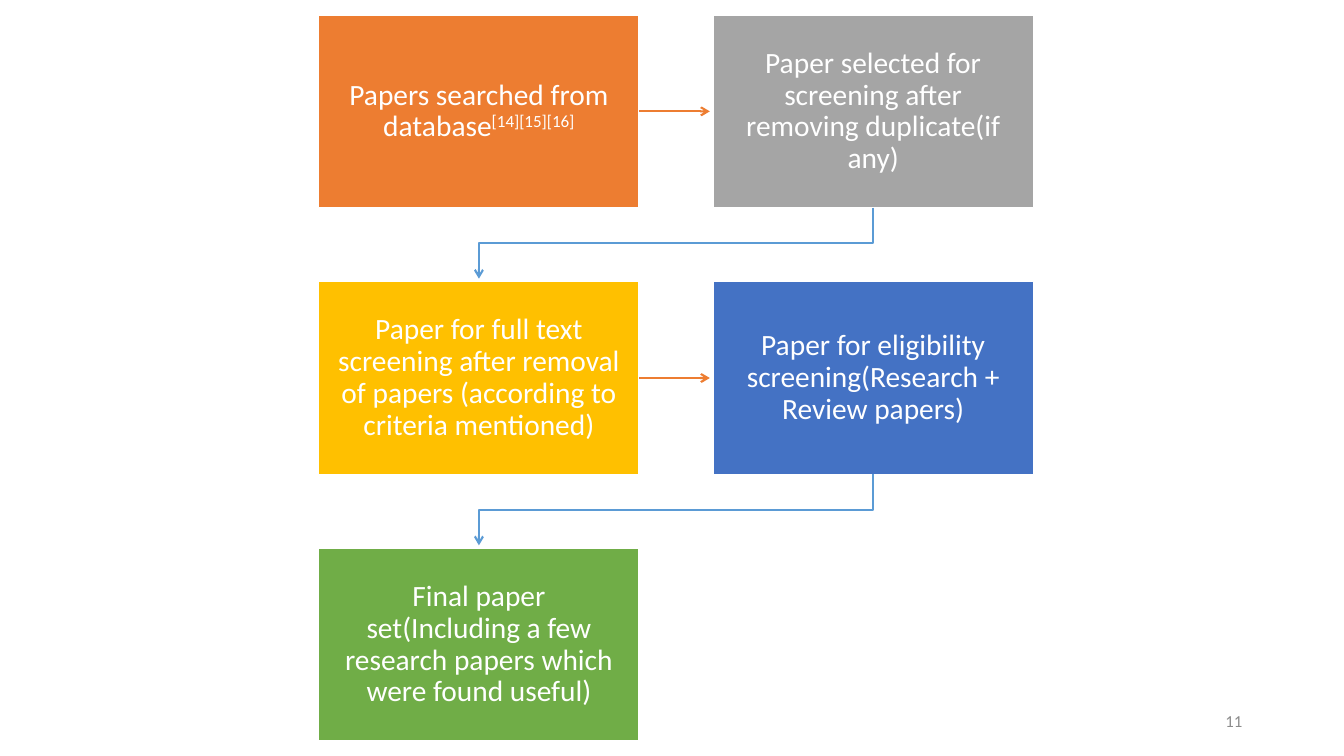
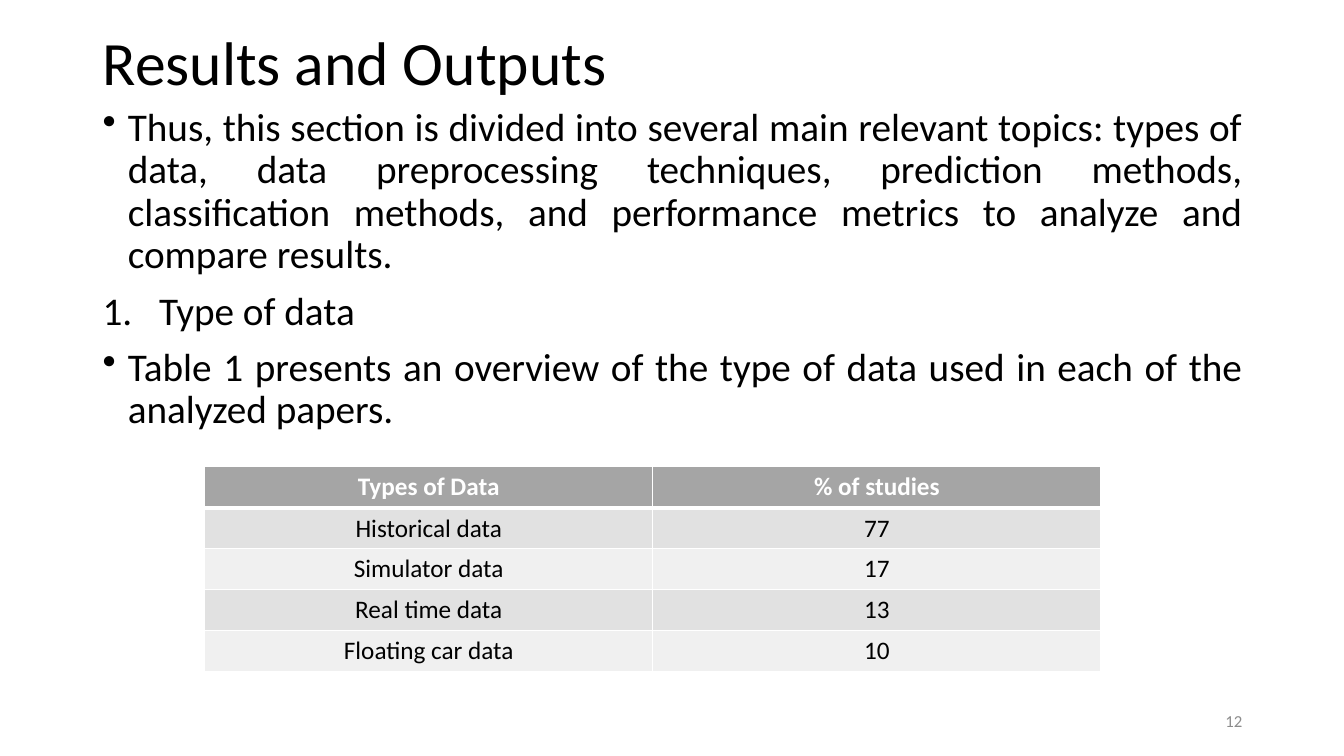
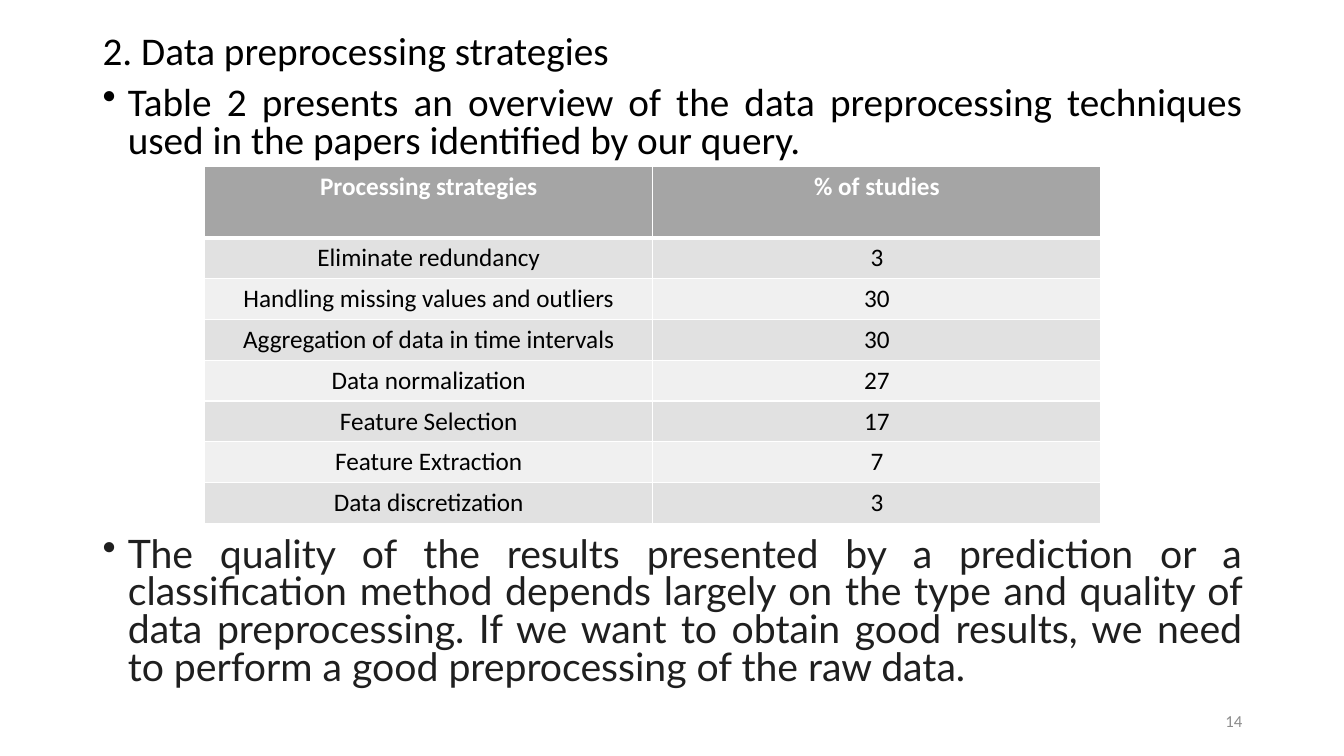
import lxml.etree
import pptx
import pptx.dml.color
import pptx.enum.shapes
import pptx.enum.text
import pptx.oxml
import pptx.oxml.ns
import pptx.util

Inches = pptx.util.Inches
Pt = pptx.util.Pt
ALIGN = pptx.enum.text.PP_ALIGN
ANCHOR = pptx.enum.text.MSO_ANCHOR
LINK = pptx.enum.shapes.MSO_CONNECTOR
RECT = pptx.enum.shapes.MSO_SHAPE.RECTANGLE

WHITE, BLACK, GREY = "FFFFFF", "000000", "A5A5A5"
ORANGE, GOLD, BLUE, GREEN, SKY = "ED7D31", "FFC000", "4472C4", "70AD47", "5B9BD5"
BANDS = ("E1E1E1", "F0F0F0")

BASE = {"name": "Calibri", "size": Pt(28), "bold": False, "color": BLACK}
TITLE = {**BASE, "size": Pt(44)}
FOOT = {**BASE, "size": Pt(12), "color": "8C8C8C"}
STEP = {**BASE, "size": Pt(21), "color": WHITE}
CELL = {**BASE, "size": Pt(18)}
HEAD = {**CELL, "bold": True, "color": WHITE}
QUOTE = {**BASE, "name": "Lato", "color": "1F1F1F"}

LEFT, WIDTH = 0.92, 11.5
DOT = ("buChar", {"char": "•"}, 0.25)
COUNT = ("buAutoNum", {"type": "arabicPeriod"}, 0.56)


def paint(text):
    return pptx.dml.color.RGBColor.from_string(text)


def node(parent, tag, **attrs):
    """Append a drawing element to parent."""
    child = lxml.etree.SubElement(parent, pptx.oxml.ns.qn("a:" + tag))
    for key, value in attrs.items():
        child.set(key, value)
    return child


def write(para, text, style):
    run = para.add_run()
    run.text = text
    for key, value in style.items():
        if key == "color":
            run.font.color.rgb = paint(value)
        else:
            setattr(run.font, key, value)
    return run


def layout(para, **values):
    for key, value in values.items():
        setattr(para, key, value)


def add_box(slide, left, top, width, height, anchor=ANCHOR.TOP):
    """Add a wrapping text box and return its frame."""
    box = slide.shapes.add_textbox(Inches(left), Inches(top), Inches(width), Inches(height))
    box.text_frame.word_wrap = True
    box.text_frame.vertical_anchor = anchor
    return box.text_frame


def add_title(slide, text):
    para = add_box(slide, LEFT, 0.02, WIDTH, 1.27, ANCHOR.MIDDLE).paragraphs[0]
    layout(para, line_spacing=0.9)
    write(para, text, TITLE)


def add_foot(slide, number):
    para = add_box(slide, 9.42, 6.95, 3, 0.4, ANCHOR.MIDDLE).paragraphs[0]
    layout(para, alignment=ALIGN.RIGHT)
    write(para, str(number), FOOT)


def add_body(slide, top, height, items, pitch=0.9, style=BASE):
    """Add justified paragraphs from (text, mark) pairs."""
    frame = add_box(slide, LEFT, top, WIDTH, height)
    for place, (text, mark) in enumerate(items):
        para = frame.add_paragraph() if place else frame.paragraphs[0]
        layout(para, alignment=ALIGN.JUSTIFY, line_spacing=pitch, space_before=Pt(10))
        write(para, text, style)
        if mark:
            tag, attrs, indent = mark
            props = para._p.get_or_add_pPr()
            props.set("marL", str(Inches(indent)))
            props.set("indent", str(-Inches(indent)))
            node(props, tag, **attrs)


def add_grid(slide, top, rows, first=0.41, left=2.03, width=8.89, step=0.405):
    """Add a banded table whose first row is the heading."""
    size = len(rows[0])
    high = first + step * (len(rows) - 1)
    table = slide.shapes.add_table(len(rows), size, Inches(left), Inches(top),
                                   Inches(width), Inches(high)).table
    for col in table.columns:
        col.width = Inches(width / size)
    for place, texts in enumerate(rows):
        table.rows[place].height = Inches(step if place else first)
        for spot, text in enumerate(texts):
            cell = table.cell(place, spot)
            props = cell._tc.get_or_add_tcPr()
            for side in "LRTB":
                thick = (side == "B" and place == 0) or (side == "T" and place == 1)
                edge = node(props, "ln" + side, w=str(Pt(3 if thick else 1)))
                node(node(edge, "solidFill"), "srgbClr", val=WHITE)
            cell.fill.solid()
            cell.fill.fore_color.rgb = paint(BANDS[(place - 1) % 2] if place else GREY)
            para = cell.text_frame.paragraphs[0]
            layout(para, alignment=ALIGN.CENTER)
            write(para, text, CELL if place else HEAD)


def add_step(slide, left, top, width, height, color, text, note=""):
    """Add one box of the flow, with an optional raised note."""
    box = slide.shapes.add_shape(RECT, Inches(left), Inches(top), Inches(width), Inches(height))
    box.shadow.inherit = False
    box.fill.solid()
    box.fill.fore_color.rgb = paint(color)
    box.line.color.rgb = paint(WHITE)
    box.line.width = Pt(1)
    frame = box.text_frame
    layout(frame, word_wrap=True, vertical_anchor=ANCHOR.MIDDLE)
    for side in ("left", "right", "top", "bottom"):
        setattr(frame, "margin_" + side, Inches(0.16))
    para = frame.paragraphs[0]
    layout(para, alignment=ALIGN.CENTER, line_spacing=0.9)
    write(para, text, STEP)
    if note:
        write(para, note, STEP)._r.get_or_add_rPr().set("baseline", "30000")
    return box


def add_arrow(slide, kind, color, *ends):
    link = slide.shapes.add_connector(kind, *map(Inches, ends))
    link.line.color.rgb = paint(color)
    link.line.width = Pt(1.5)
    node(link.line._get_or_add_ln(), "tailEnd", type="arrow")
    node(link._element.spPr, "effectLst")
    return link


def add_turn(slide, right, top, left, low):
    """Add an elbow that leaves downwards and ends lower left."""
    mid, level = (left + right) / 2, (top + low) / 2
    reach, drop = (right - left) / 2, (low - top) / 2
    link = add_arrow(slide, LINK.ELBOW, SKY, mid - drop, level - reach, mid + drop, level + reach)
    link._element.spPr.find(pptx.oxml.ns.qn("a:xfrm")).set("rot", "5400000")


def add_flow(slide, left, top, steps):
    """Lay out steps two to a row and link each to the next."""
    width, height, across, down, gap = 3.18, 1.91, 3.91, 2.645, 0.03
    for place, step in enumerate(steps):
        row, col = divmod(place, 2)
        x, y = left + col * across, top + row * down
        box = add_step(slide, x, y, width, height, *step)
        if place == len(steps) - 1:
            break
        if col:
            add_turn(slide, x + width / 2, y + height, left + width / 2, y + down - gap)
        else:
            level = y + height / 2
            link = add_arrow(slide, LINK.STRAIGHT, ORANGE, x + width, level,
                             x + across - gap, level)
            link.begin_connect(box, 3)


def flow_slide(slide):
    add_flow(slide, 3.16, 0.15, [
        (ORANGE, "Papers searched from database", "[14][15][16]"),
        (GREY, "Paper selected for screening after removing duplicate(if any)"),
        (GOLD, "Paper for full text screening after removal of papers "
               "(according to criteria mentioned)"),
        (BLUE, "Paper for eligibility screening(Research + Review papers)"),
        (GREEN, "Final paper set(Including a few research papers which were found useful)"),
    ])


def types_slide(slide):
    add_title(slide, "Results and Outputs")
    add_body(slide, 1.02, 3.5, [
        ("Thus, this section is divided into several main relevant topics: types of data, "
         "data preprocessing techniques, prediction methods, classification methods, "
         "and performance metrics to analyze and compare results.", DOT),
        ("Type of data", COUNT),
        ("Table 1 presents an overview of the type of data used in each of "
         "the analyzed papers.", DOT),
    ])
    add_grid(slide, 4.63, [
        ("Types of Data", "% of studies"),
        ("Historical data", "77"),
        ("Simulator data", "17"),
        ("Real time data", "13"),
        ("Floating car data", "10"),
    ])


def methods_slide(slide):
    add_body(slide, 0.3, 1.35, [
        ("2. Data preprocessing strategies", None),
        ("Table 2 presents an overview of the data preprocessing techniques used in "
         "the papers identified by our query.", DOT),
    ], 0.8)
    add_grid(slide, 1.65, [
        ("Processing strategies", "% of studies"),
        ("Eliminate redundancy", "3"),
        ("Handling missing values and outliers", "30"),
        ("Aggregation of data in time intervals", "30"),
        ("Data normalization", "27"),
        ("Feature Selection", "17"),
        ("Feature Extraction", "7"),
        ("Data discretization", "3"),
    ], 0.71)
    add_body(slide, 5.29, 1.6, [
        ("The quality of the results presented by a prediction or a classification method "
         "depends largely on the type and quality of data preprocessing. If we want to "
         "obtain good results, we need to perform a good preprocessing of the raw data.", DOT),
    ], 0.8, QUOTE)


def main():
    deck = pptx.Presentation()
    deck.slide_width, deck.slide_height = Inches(13.33), Inches(7.5)
    for build, number in ((flow_slide, 11), (types_slide, 12), (methods_slide, 14)):
        slide = deck.slides.add_slide(deck.slide_layouts[6])
        build(slide)
        add_foot(slide, number)
    deck.save("out.pptx")


if __name__ == "__main__":
    main()
